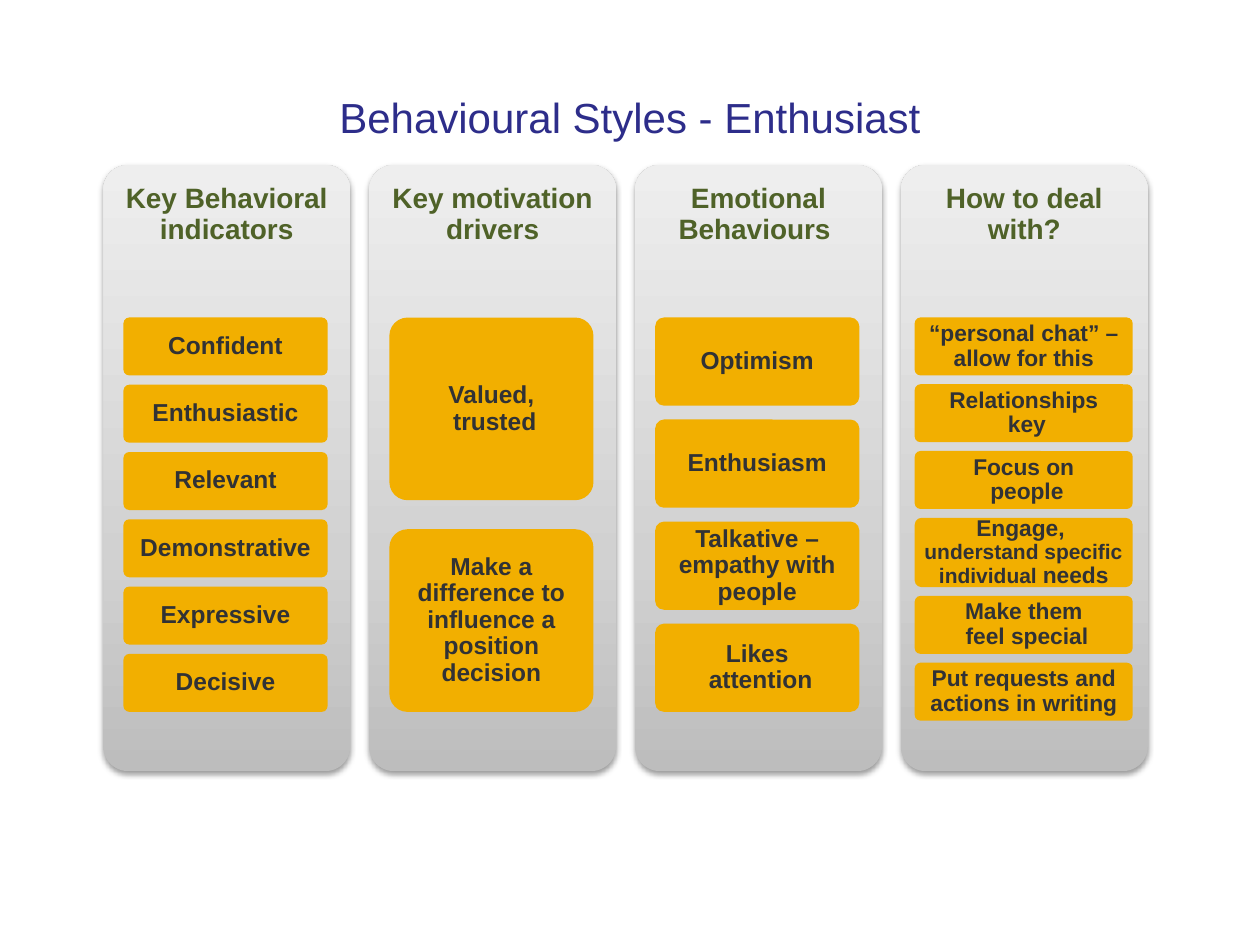
from lxml.etree import SubElement
from pptx import Presentation
from pptx.dml.color import RGBColor
from pptx.enum.shapes import MSO_SHAPE
from pptx.enum.text import MSO_ANCHOR, PP_ALIGN
from pptx.oxml import parse_xml
from pptx.oxml.ns import nsdecls, qn
from pptx.util import Inches, Pt

FONT = "Arial"
TITLE_BLUE = RGBColor(0x2D, 0x2D, 0x8A)
HEADING_GREEN = RGBColor(0x4F, 0x62, 0x28)
CARD_AMBER = RGBColor(0xF2, 0xAF, 0x00)
CARD_TEXT = RGBColor(0x31, 0x32, 0x35)
PANEL_STOPS = [
    (0, RGBColor(0xBD, 0xBD, 0xBD)),
    (35, RGBColor(0xD1, 0xD1, 0xD1)),
    (100, RGBColor(0xEE, 0xEE, 0xEE)),
]

PANEL_LEFT, PANEL_TOP, PANEL_WIDTH, PANEL_HEIGHT = 0.82, 1.31, 1.96, 4.81
PANEL_PITCH = 2.11
CARDS_TOP = 2.52

# Each card is a list of (text, size) runs; "\v" is a line break.
COLUMNS = [
    {
        "heading": "Key Behavioral indicators",
        "cards": [[(text, 14)] for text in (
            "Confident", "Enthusiastic", "Relevant",
            "Demonstrative", "Expressive", "Decisive")],
        "heights": [0.46] * 6, "inset": 0.16, "width": 1.62, "stack": 3.13,
    },
    {
        "heading": "Key motivation drivers",
        "cards": [[(text, 14)] for text in (
            "Valued,\v trusted",
            "Make a difference to influence a position decision")],
        "heights": [1.45] * 2, "inset": 0.16, "width": 1.62, "stack": 3.13,
    },
    {
        "heading": "Emotional Behaviours ",
        "cards": [[(text, 14)] for text in (
            "Optimism", "Enthusiasm",
            "Talkative – empathy with people", "Likes\v attention")],
        "heights": [0.7] * 4, "inset": 0.16, "width": 1.62, "stack": 3.13,
    },
    {
        "heading": "How to deal with?",
        "cards": [
            [("“personal chat” – allow for this", 13)],
            [("Relationships\v key", 13)],
            [("Focus on\v people", 13)],
            [("Engage, \v", 13), ("understand specific individual ", 12),
             ("needs", 13)],
            [("Make them\v feel special", 13)],
            [("Put requests and actions in writing", 13)],
        ],
        "heights": [0.46] * 3 + [0.55] + [0.46] * 2,
        "inset": 0.11, "width": 1.73, "stack": 3.2,
    },
]


def write_runs(paragraph, runs, color, bold=True):
    paragraph.text = "".join(text for text, _ in runs) if len(runs) == 1 else ""
    paragraph.alignment = PP_ALIGN.CENTER
    if len(runs) > 1:
        for text, _ in runs:
            for index, part in enumerate(text.split("\v")):
                if index:
                    paragraph.add_line_break()
                if part:
                    paragraph.add_run().text = part
    sizes = [size for _, size in runs]
    for index, run in enumerate(paragraph.runs):
        run.font.name = FONT
        run.font.size = Pt(sizes[min(index, len(sizes) - 1)])
        run.font.bold = bold
        run.font.color.rgb = color


def add_rounded_box(shapes, box, margins, anchor):
    shape = shapes.add_shape(MSO_SHAPE.ROUNDED_RECTANGLE,
                             *(Inches(value) for value in box))
    shape.adjustments[0] = 0.1
    shape.line.fill.background()
    shape.shadow.inherit = False
    text_frame = shape.text_frame
    text_frame.word_wrap = True
    text_frame.vertical_anchor = anchor
    text_frame.margin_left = text_frame.margin_right = Inches(margins[0])
    text_frame.margin_top = Inches(margins[1])
    text_frame.margin_bottom = Inches(margins[2])
    text_frame.paragraphs[0].line_spacing = 0.9
    return shape


def add_title(slide, box):
    title = slide.shapes.add_textbox(*(Inches(value) for value in box))
    title.text_frame.word_wrap = True
    title.text_frame.vertical_anchor = MSO_ANCHOR.MIDDLE
    write_runs(title.text_frame.paragraphs[0],
               [("Behavioural Styles - Enthusiast", 24)], TITLE_BLUE, False)


def add_panel(slide, box, heading):
    panel = add_rounded_box(slide.shapes, box, (0.04, 0.1, 0.05),
                            MSO_ANCHOR.TOP)
    write_runs(panel.text_frame.paragraphs[0], [(heading, 16)], HEADING_GREEN)

    # Three-stop gradient, dark at the bottom
    panel.fill.gradient()
    panel.fill.gradient_angle = 90
    properties = panel._element.spPr
    stops = properties.find(qn("a:gradFill")).find(qn("a:gsLst"))
    for stop in list(stops):
        stops.remove(stop)
    for position, color in PANEL_STOPS:
        stop = SubElement(stops, qn("a:gs"), pos=str(position * 1000))
        SubElement(stop, qn("a:srgbClr"), val=str(color))

    # Soft shadow below
    properties.find(qn("a:effectLst")).append(parse_xml(
        f'<a:outerShdw {nsdecls("a")} blurRad="40000" dist="20000" '
        'dir="5400000" rotWithShape="0"><a:srgbClr val="000000">'
        '<a:alpha val="38000"/></a:srgbClr></a:outerShdw>'))


def add_cards(slide, box, cards, heights):
    """Stack cards in the box with equal gaps."""
    left, top, width, height = box
    gap = (height - sum(heights)) / (len(heights) - 1)
    group = slide.shapes.add_group_shape()
    for runs, card_height in zip(cards, heights):
        card = add_rounded_box(group.shapes, (left, top, width, card_height),
                               (0.03, 0.02, 0.02), MSO_ANCHOR.MIDDLE)
        card.fill.solid()
        card.fill.fore_color.rgb = CARD_AMBER
        write_runs(card.text_frame.paragraphs[0], runs, CARD_TEXT)
        top += card_height + gap


def main():
    presentation = Presentation()
    presentation.slide_width = Inches(10)
    presentation.slide_height = Inches(7.5)
    slide = presentation.slides.add_slide(presentation.slide_layouts[6])

    add_title(slide, (0.5, 0.3, 9, 1.25))
    for index, column in enumerate(COLUMNS):
        left = PANEL_LEFT + index * PANEL_PITCH
        add_panel(slide, (left, PANEL_TOP, PANEL_WIDTH, PANEL_HEIGHT),
                  column["heading"])
        add_cards(slide, (left + column["inset"], CARDS_TOP,
                          column["width"], column["stack"]),
                  column["cards"], column["heights"])

    presentation.save("out.pptx")


if __name__ == "__main__":
    main()
